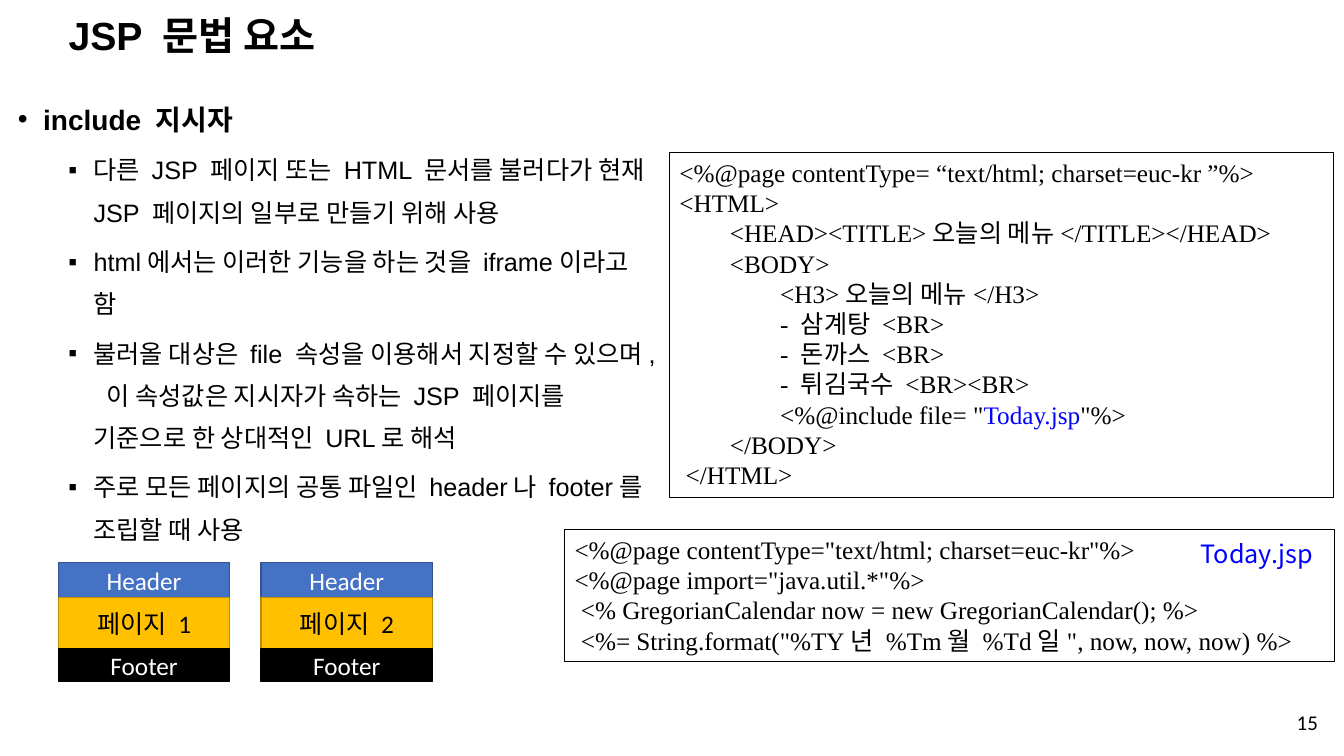
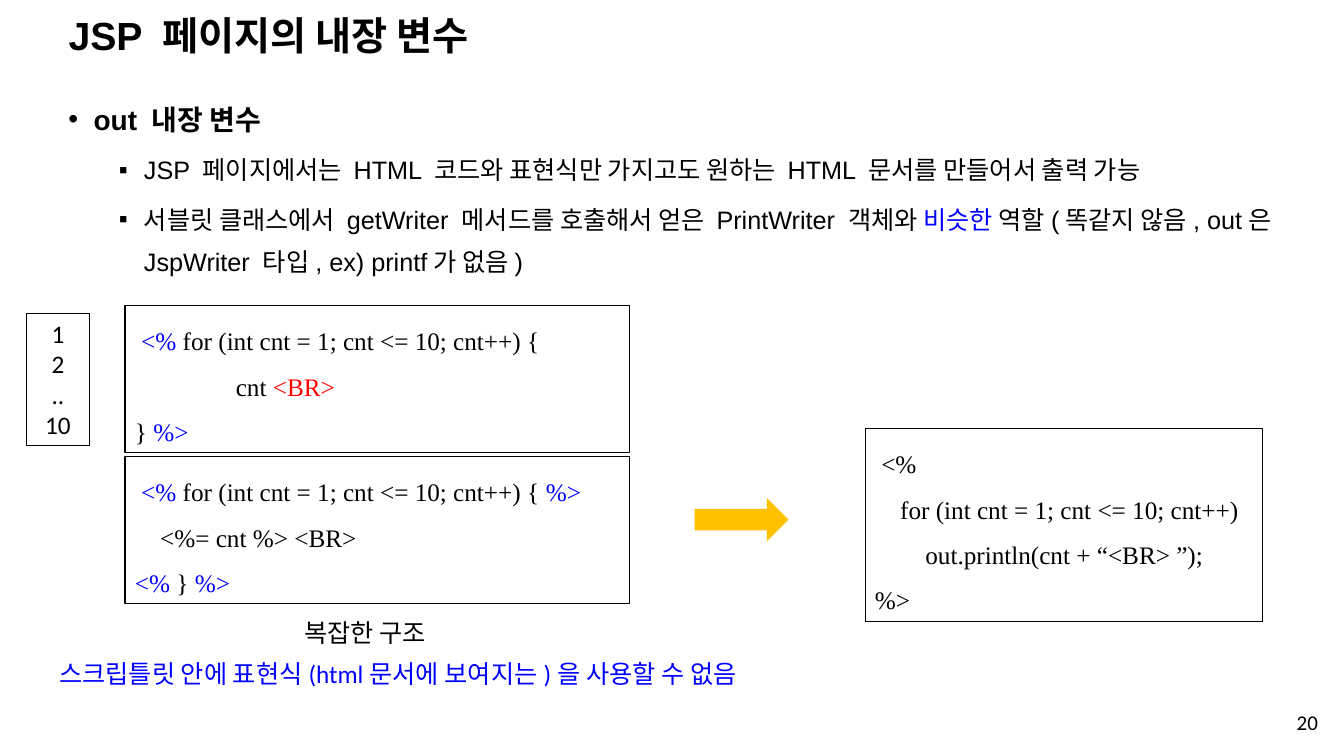
from lxml.etree import SubElement
from pptx import Presentation
from pptx.dml.color import RGBColor
from pptx.enum.shapes import MSO_SHAPE
from pptx.enum.text import MSO_ANCHOR, PP_ALIGN
from pptx.oxml.ns import qn
from pptx.util import Emu, Pt

PX = 9144  # 100 px to the inch
BLACK, WHITE, BLUE, RED = "000000", "FFFFFF", "0000FF", "FF0000"
GOLD = "FFC000"
HEAD, SANS, SERIF, KOREAN = "Arial", "Calibri", "Times New Roman", "Noto Sans CJK KR"
SPACE = 57150  # width of one space in 18 pt code
LEFT, MID, RIGHT = PP_ALIGN.LEFT, PP_ALIGN.CENTER, PP_ALIGN.RIGHT

# Body levels: bullet, left indent in px, size, bold, space before
LEVELS = [("•", 25, 20, True, 10), ("▪", 75, 18, False, 5)]

# A line is a list of runs; a run is a string or (string, colour).
# Code lines start with their indent, counted in spaces.
INCLUDE = {
    "title": "JSP 문법 요소",
    "number": "15",
    "at": (8, 83, 649, 628),
    "body": [
        (0, ["include 지시자"]),
        (1, ["다른 JSP 페이지 또는 HTML 문서를 불러다가 현재 JSP 페이지의 일부로 만들기 위해 사용"]),
        (1, ["html에서는 이러한 기능을 하는 것을 iframe이라고 함"]),
        (1, ["불러올 대상은 file 속성을 이용해서 지정할 수 있으며, 이 속성값은 지시자가 "
             "속하는 JSP 페이지를 기준으로 한 상대적인 URL로 해석"]),
        (1, ["주로 모든 페이지의 공통 파일인 header나 footer를 조립할 때 사용"]),
    ],
}
MENU = [
    (0, ["<%@page contentType= “text/html; charset=euc-kr ”%>"]),
    (0, ["<HTML>"]),
    (8, ["<HEAD><TITLE>오늘의 메뉴</TITLE></HEAD>"]),
    (8, ["<BODY>"]),
    (16, ["<H3>오늘의 메뉴</H3>"]),
    (16, ["- 삼계탕 <BR>"]),
    (16, ["- 돈까스 <BR>"]),
    (16, ["- 튀김국수 <BR><BR>"]),
    (16, ['<%@include file= "', ("Today.jsp", BLUE), '"%>']),
    (8, ["</BODY>"]),
    (1, ["</HTML>"]),
]
TODAY = [
    (0, ['<%@page contentType="text/html; charset=euc-kr"%>']),
    (0, ['<%@page import="java.util.*"%>']),
    (1, ["<% GregorianCalendar now = new GregorianCalendar(); %>"]),
    (1, ['<%= String.format("%TY년 %Tm월 %Td일", now, now, now) %>']),
]
PAGES = ["페이지 1", "페이지 2"]

OUT = {
    "title": "JSP 페이지의 내장 변수",
    "number": "20",
    "at": (58, 83, 1214, 628),
    "body": [
        (0, ["out 내장 변수"]),
        (1, ["JSP 페이지에서는 HTML 코드와 표현식만 가지고도 원하는 HTML 문서를 만들어서 출력 가능"]),
        (1, ["서블릿 클래스에서 getWriter 메서드를 호출해서 얻은 PrintWriter 객체와 ",
             ("비슷한", BLUE),
             " 역할(똑같지 않음, out은 JspWriter 타입, ex) printf가 없음)"]),
    ],
}
LOOPS = [
    [
        (1, [("<%", BLUE), " for (int cnt = 1; cnt <= 10; cnt++) {"]),
        (16, ["cnt ", ("<BR>", RED)]),
        (0, ["} ", ("%>", BLUE)]),
    ],
    [
        (1, [("<%", BLUE), " for (int cnt = 1; cnt <= 10; cnt++) { ", ("%>", BLUE)]),
        (4, ["<%= cnt %> <BR>"]),
        (0, [("<% ", BLUE), "} ", ("%>", BLUE)]),
    ],
]
PRINT = [
    (1, ["<%"]),
    (4, ["for (int cnt = 1; cnt <= 10; cnt++)"]),
    (8, ["out.println(cnt + “<BR> ”);"]),
    (0, ["%>"]),
]
RESULT = ["1", "2", "..", "10"]


def rgb(text):
    return RGBColor.from_string(text)


def px(*sizes):
    return [Emu(size * PX) for size in sizes]


def style(para, font=SANS, size=18, color=BLACK, bold=False, align=LEFT):
    para.alignment = align
    para.font.name, para.font.size, para.font.bold = font, Pt(size), bold
    para.font.color.rgb = rgb(color)


def fill_para(para, runs):
    for item in runs:
        text, color = (item, None) if isinstance(item, str) else item
        run = para.add_run()
        run.text = text
        if color:
            run.font.color.rgb = rgb(color)


def paras(frame, count):
    """Return the given number of paragraphs of an empty frame."""
    return [frame.paragraphs[0]] + [frame.add_paragraph() for _ in range(count - 1)]


def add_text(slide, at, text, wrap=True, anchor=MSO_ANCHOR.TOP, **look):
    frame = slide.shapes.add_textbox(*px(*at)).text_frame
    frame.word_wrap, frame.vertical_anchor = wrap, anchor
    frame.text = text
    style(frame.paragraphs[0], **look)


def add_box(slide, at, lines, fill=None, line=BLACK, width=0.75,
            anchor=MSO_ANCHOR.TOP, space=None, **look):
    """Add a rectangle holding lines of (indent, runs)."""
    box = slide.shapes.add_shape(MSO_SHAPE.RECTANGLE, *px(*at))
    box.shadow.inherit = False
    if fill:
        box.fill.solid()
        box.fill.fore_color.rgb = rgb(fill)
    else:
        box.fill.background()
    box.line.color.rgb, box.line.width = rgb(line), Pt(width)
    frame = box.text_frame
    frame.word_wrap, frame.vertical_anchor = True, anchor
    for para, (indent, runs) in zip(paras(frame, len(lines)), lines):
        if indent:
            para._p.get_or_add_pPr().set("marL", str(indent * SPACE))
        para.line_spacing = space
        style(para, **look)
        fill_para(para, runs)


def add_body(slide, at, lines):
    frame = slide.shapes.add_textbox(*px(*at)).text_frame
    frame.word_wrap = True
    for para, (level, runs) in zip(paras(frame, len(lines)), lines):
        mark, indent, size, bold, before = LEVELS[level]
        para.line_spacing, para.space_before = 1.4, Pt(before)
        props = para._p.get_or_add_pPr()
        props.set("marL", str(indent * PX))
        props.set("indent", str(-25 * PX))
        SubElement(props, qn("a:buFont")).set("typeface", HEAD)
        SubElement(props, qn("a:buChar")).set("char", mark)
        style(para, HEAD, size, bold=bold)
        fill_para(para, runs)


def add_slide(deck, data):
    """Add a slide with the title, body and page number all slides share."""
    slide = deck.slides.add_slide(deck.slide_layouts[5])
    title = slide.shapes.title
    title.left, title.top, title.width, title.height = px(58, 18, 1150, 38)
    frame = title.text_frame
    frame.text, frame.vertical_anchor = data["title"], MSO_ANCHOR.MIDDLE
    frame.paragraphs[0].line_spacing = 0.9
    style(frame.paragraphs[0], HEAD, 28, bold=True)
    add_body(slide, data["at"], data["body"])
    add_text(slide, (942, 695, 375, 42), data["number"],
             anchor=MSO_ANCHOR.MIDDLE, size=15, align=RIGHT)
    return slide


def add_page(slide, left, name):
    """Stack header, page and footer."""
    top = 558
    for text, height, fill, line, color in [
        ("Header", 35, "4472C4", "325491", WHITE),
        (name, 51, GOLD, "BD8E00", BLACK),
        ("Footer", 32, BLACK, BLACK, WHITE),
    ]:
        add_box(slide, (left, top, 170, height), [(0, [text])], fill, line, 1,
                MSO_ANCHOR.MIDDLE, color=color, align=MID)
        top += height


def add_arrow(slide, at):
    arrow = slide.shapes.add_shape(MSO_SHAPE.RIGHT_ARROW, *px(*at))
    arrow.shadow.inherit = False
    arrow.fill.solid()
    arrow.fill.fore_color.rgb = rgb(GOLD)
    arrow.line.fill.background()


def main():
    deck = Presentation()
    deck.slide_width, deck.slide_height = px(1333, 750)

    slide = add_slide(deck, INCLUDE)
    add_box(slide, (664, 151, 659, 343), MENU, font=SERIF)
    add_box(slide, (560, 525, 764, 131), TODAY, font=SERIF)
    add_text(slide, (1181, 529, 136, 40), "Today.jsp", wrap=False,
             font=KOREAN, color=BLUE)
    for i, name in enumerate(PAGES):
        add_page(slide, 58 + 201 * i, name)

    slide = add_slide(deck, OUT)
    for i, loop in enumerate(LOOPS):
        add_box(slide, (124, 303 + 150 * i, 500, 146), loop, space=1.5, font=SERIF)
    add_box(slide, (858, 425, 394, 192), PRINT, space=1.5, font=SERIF)
    add_box(slide, (26, 311, 63, 131), [(0, [text]) for text in RESULT], align=MID)
    add_arrow(slide, (689, 494, 93, 43))
    add_text(slide, (292, 608, 155, 40), "복잡한 구조", wrap=False)
    add_text(slide, (49, 648, 727, 40),
             "스크립틀릿 안에 표현식(html문서에 보여지는)을 사용할 수 없음", color=BLUE)

    deck.save("out.pptx")


if __name__ == "__main__":
    main()
